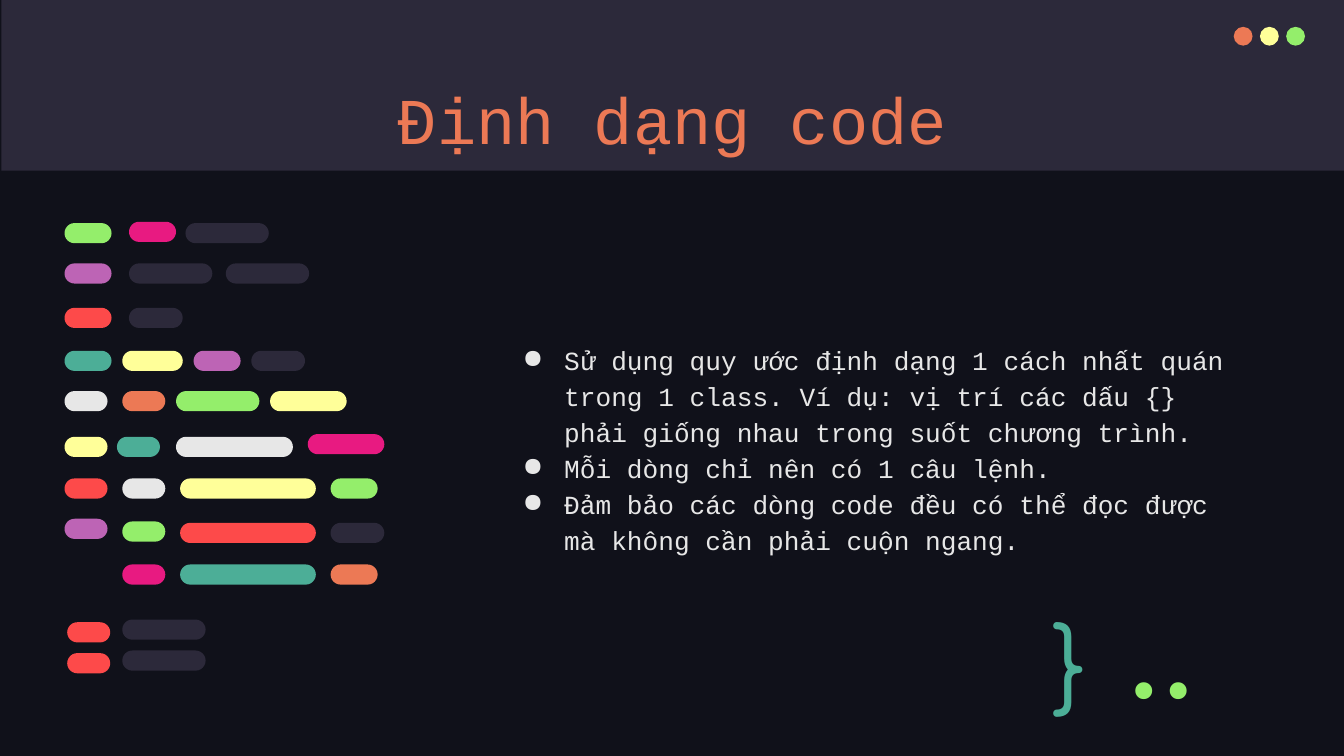
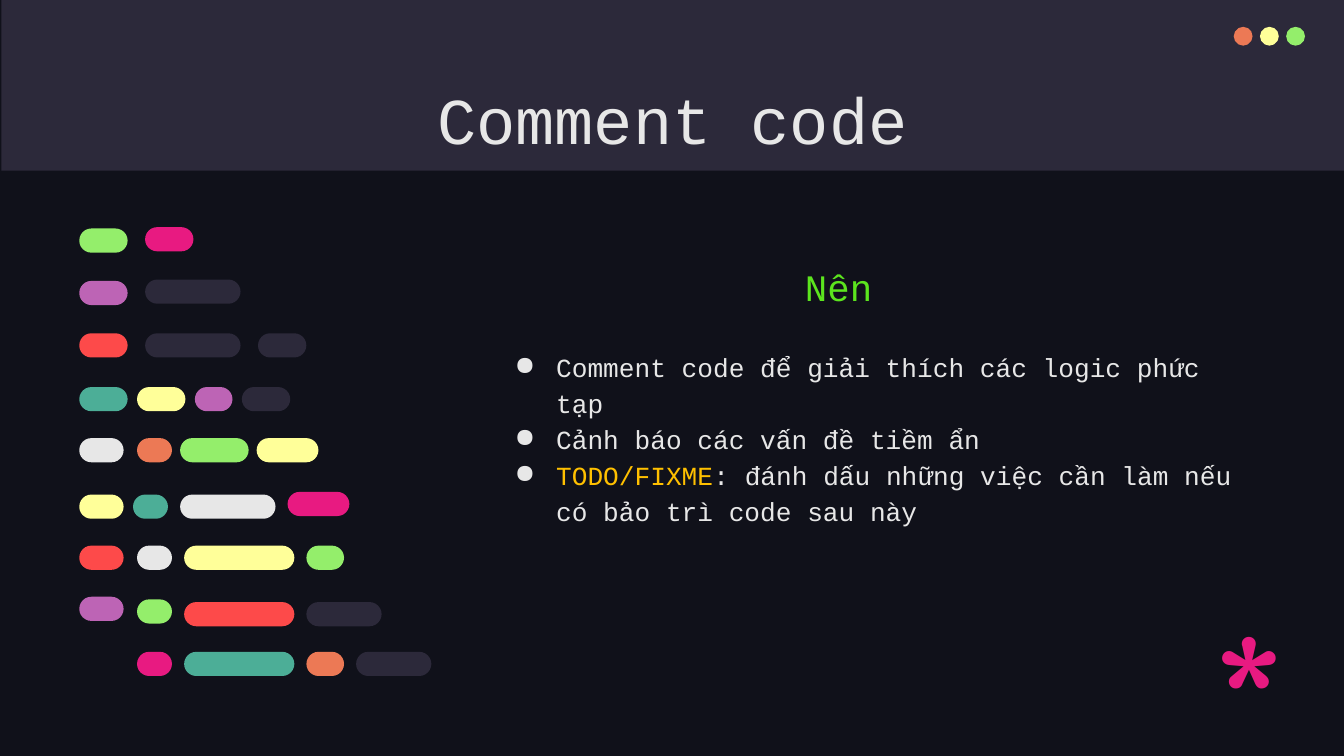
from lxml.etree import SubElement
from pptx import Presentation
from pptx.dml.color import RGBColor
from pptx.enum.shapes import MSO_SHAPE
from pptx.enum.text import MSO_ANCHOR, PP_ALIGN
from pptx.oxml.ns import qn
from pptx.util import Inches, Pt

# Page and its grid: 100 columns of square cells
WIDTH = Inches(10)
HEIGHT = WIDTH * 9 // 16
CELL = WIDTH // 100

# Colours
NIGHT = RGBColor(0x10, 0x11, 0x1A)
SLATE = RGBColor(0x2C, 0x29, 0x3A)
WHITE = RGBColor(0xE7, 0xE7, 0xE7)
CORAL = RGBColor(0xEC, 0x79, 0x55)
YELLOW = RGBColor(0xFF, 0xFF, 0x99)
GREEN = RGBColor(0x94, 0xEE, 0x6B)
PINK = RGBColor(0xE8, 0x1A, 0x81)
PURPLE = RGBColor(0xBD, 0x64, 0xB5)
RED = RGBColor(0xFD, 0x4A, 0x4A)
TEAL = RGBColor(0x4C, 0xAE, 0x97)
LIME = RGBColor(0x5C, 0xE5, 0x1E)
AMBER = RGBColor(0xFF, 0xC0, 0x00)

# Text styles
TITLE = {"name": "Courier New", "size": Pt(35)}
BODY = {"name": "Courier New", "size": Pt(14)}
HEAD = {"name": "Courier New", "size": Pt(20)}
BRACE = {"name": "Comfortaa", "size": Pt(50)}
STAR = {"name": "Comfortaa", "size": Pt(96)}
DOTS = {"name": "Fira Code", "size": Pt(50)}

# Code lines: row, then pills as column, width, colour and optional row shift
FORMAT = [
    (0.1, [(0, 3.5, GREEN), (4.8, 3.5, PINK, -0.1), (9, 6.2, SLATE)]),
    (3.1, [(0, 3.5, PURPLE), (4.8, 6.2, SLATE), (12, 6.2, SLATE)]),
    (6.4, [(0, 3.5, RED), (4.8, 4, SLATE)]),
    (9.6, [(0, 3.5, TEAL), (4.3, 4.5, YELLOW), (9.6, 3.5, PURPLE), (13.9, 4, SLATE)]),
    (12.6, [(0, 3.2, WHITE), (4.3, 3.2, CORAL), (8.3, 6.2, GREEN), (15.3, 5.7, YELLOW)]),
    (16, [(0, 3.2, YELLOW), (3.9, 3.2, TEAL), (8.3, 8.7, WHITE), (18.1, 5.7, PINK, -0.2)]),
    (19.1, [(0, 3.2, RED), (4.3, 3.2, WHITE), (8.6, 10.1, YELLOW), (19.8, 3.5, GREEN)]),
    (22.1, [(0, 3.2, PURPLE), (4.3, 3.2, GREEN, 0.2), (8.6, 10.1, RED, 0.3),
            (19.8, 4, SLATE, 0.3)]),
    (25.5, [(4.3, 3.2, PINK), (8.6, 10.1, TEAL), (19.8, 3.5, CORAL)]),
] + [(row, [(0.2, 3.2, RED), (4.3, 6.2, SLATE, -0.2)]) for row in (29.8, 32.1)]

COMMENT = [
    (0.1, [(0, 3.6, GREEN), (4.9, 3.6, PINK, -0.1)]),
    (4, [(0, 3.6, PURPLE), (4.9, 7.1, SLATE, -0.1)]),
    (7.9, [(0, 3.6, RED), (4.9, 7.1, SLATE), (13.3, 3.6, SLATE)]),
    (11.9, [(0, 3.6, TEAL), (4.3, 3.6, YELLOW), (8.6, 2.8, PURPLE), (12.1, 3.6, SLATE)]),
    (15.7, [(0, 3.3, WHITE), (4.3, 2.6, CORAL), (7.5, 5.1, GREEN), (13.2, 4.6, YELLOW)]),
    (19.9, [(0, 3.3, YELLOW), (4, 2.6, TEAL), (7.5, 7.1, WHITE), (15.5, 4.6, PINK, -0.2)]),
    (23.7, [(0, 3.3, RED), (4.3, 2.6, WHITE), (7.8, 8.2, YELLOW), (16.9, 2.8, GREEN)]),
    (27.5, [(0, 3.3, PURPLE), (4.3, 2.6, GREEN, 0.2), (7.8, 8.2, RED, 0.4),
            (16.9, 5.6, SLATE, 0.4)]),
    (31.6, [(4.3, 2.6, PINK), (7.8, 8.2, TEAL), (16.9, 2.8, CORAL), (20.6, 5.6, SLATE)]),
]


def scale(*cells):
    return [round(n * CELL) for n in cells]


def draw(shapes, kind, box, color):
    """Add a flat filled shape."""
    shape = shapes.add_shape(kind, *scale(*box))
    shape.shadow.inherit = False
    shape.fill.solid()
    shape.fill.fore_color.rgb = color
    shape.line.fill.background()
    return shape


def write(slide, box, paras, style, align=PP_ALIGN.LEFT, anchor=MSO_ANCHOR.TOP, pad=1):
    """Add a text box; each paragraph is a list of (text, colour) runs."""
    frame = slide.shapes.add_textbox(*scale(*box)).text_frame
    side, edge = scale(1, pad)
    form = {"word_wrap": True, "vertical_anchor": anchor,
            "margin_left": side, "margin_right": side,
            "margin_top": edge, "margin_bottom": edge}
    for key, value in form.items():
        setattr(frame, key, value)
    for i, runs in enumerate(paras):
        para = frame.paragraphs[0] if i == 0 else frame.add_paragraph()
        para.alignment = align
        for text, color in runs:
            run = para.add_run()
            run.text = text
            for key, value in style.items():
                setattr(run.font, key, value)
            run.font.color.rgb = color
    return frame


def header(slide, title, color):
    """Band with window dots and a centred title."""
    draw(slide.shapes, MSO_SHAPE.RECTANGLE, (0.1, 0, 99.9, 12.7), SLATE)
    group = slide.shapes.add_group_shape()
    for i, tone in enumerate((CORAL, YELLOW, GREEN)):
        draw(group.shapes, MSO_SHAPE.OVAL, (91.8 + 1.95 * i, 2, 1.4, 1.4), tone)
    write(slide, (7.9, 4.9, 84.3, 6.3), [[(title, color)]], TITLE, PP_ALIGN.CENTER)


def code(slide, left, top, thick, lines):
    """Lines of code drawn as pills, from the given corner."""
    group = slide.shapes.add_group_shape()
    for row, pills in lines:
        for col, wide, color, *shift in pills:
            box = (left + col, top + row + sum(shift), wide, thick)
            pill = draw(group.shapes, MSO_SHAPE.ROUNDED_RECTANGLE, box, color)
            pill.adjustments[0] = 0.5


def bullets(slide, box, items):
    """Bulleted list with a hanging indent."""
    frame = write(slide, box, items, BODY)
    hang, = scale(3.1)
    for para in frame.paragraphs:
        props = para._p.get_or_add_pPr()
        props.set("marL", str(hang))
        props.set("indent", str(-hang))
        tint = SubElement(props, qn("a:buClr"))
        SubElement(tint, qn("a:srgbClr"), val=str(WHITE))
        SubElement(props, qn("a:buChar"), char="●")
        para.line_spacing = 1.15


def page(deck, title, color):
    """Blank slide with the shared look."""
    slide = deck.slides.add_slide(deck.slide_layouts[6])
    slide.background.fill.solid()
    slide.background.fill.fore_color.rgb = NIGHT
    header(slide, title, color)
    return slide


def layout(deck):
    """Slide on code formatting."""
    slide = page(deck, "Định dạng code", CORAL)
    bullets(slide, (37.9, 24.3, 54.3, 26), [
        [("Sử dụng quy ước định dạng 1 cách nhất quán trong 1 class. "
          "Ví dụ: vị trí các dấu {} phải giống nhau trong suốt chương trình.", WHITE)],
        [("Mỗi dòng chỉ nên có 1 câu lệnh.", WHITE)],
        [("Đảm bảo các dòng code đều có thể đọc được mà không cần phải cuộn ngang.", WHITE)],
    ])
    code(slide, 4.8, 16.5, 1.5, FORMAT)
    # Closing signs
    write(slide, (77.3, 43.8, 5.7, 8.3), [[("}", TEAL)]], BRACE)
    write(slide, (81, 46.2, 10.7, 6), [[("..", GREEN)]], DOTS,
          PP_ALIGN.RIGHT, MSO_ANCHOR.MIDDLE)


def remark(deck):
    """Slide on code comments."""
    slide = page(deck, "Comment code", WHITE)
    code(slide, 5.9, 16.9, 1.8, COMMENT)
    bullets(slide, (37.3, 24.8, 55.8, 17.7), [
        [("Comment code để giải thích các logic phức tạp", WHITE)],
        [("Cảnh báo các vấn đề tiềm ẩn", WHITE)],
        [("TODO/FIXME", AMBER),
         (": đánh dấu những việc cần làm nếu có bảo trì code sau này", WHITE)],
    ])
    # Star sign and list heading
    write(slide, (89.4, 43.5, 5.7, 8.7), [[("*", PINK)]], STAR)
    write(slide, (40.7, 19.2, 43.4, 4.4), [[("Nên", LIME)]], HEAD,
          PP_ALIGN.CENTER, pad=0.5)


def main():
    deck = Presentation()
    deck.slide_width, deck.slide_height = WIDTH, HEIGHT
    layout(deck)
    remark(deck)
    deck.save("out.pptx")


if __name__ == "__main__":
    main()
